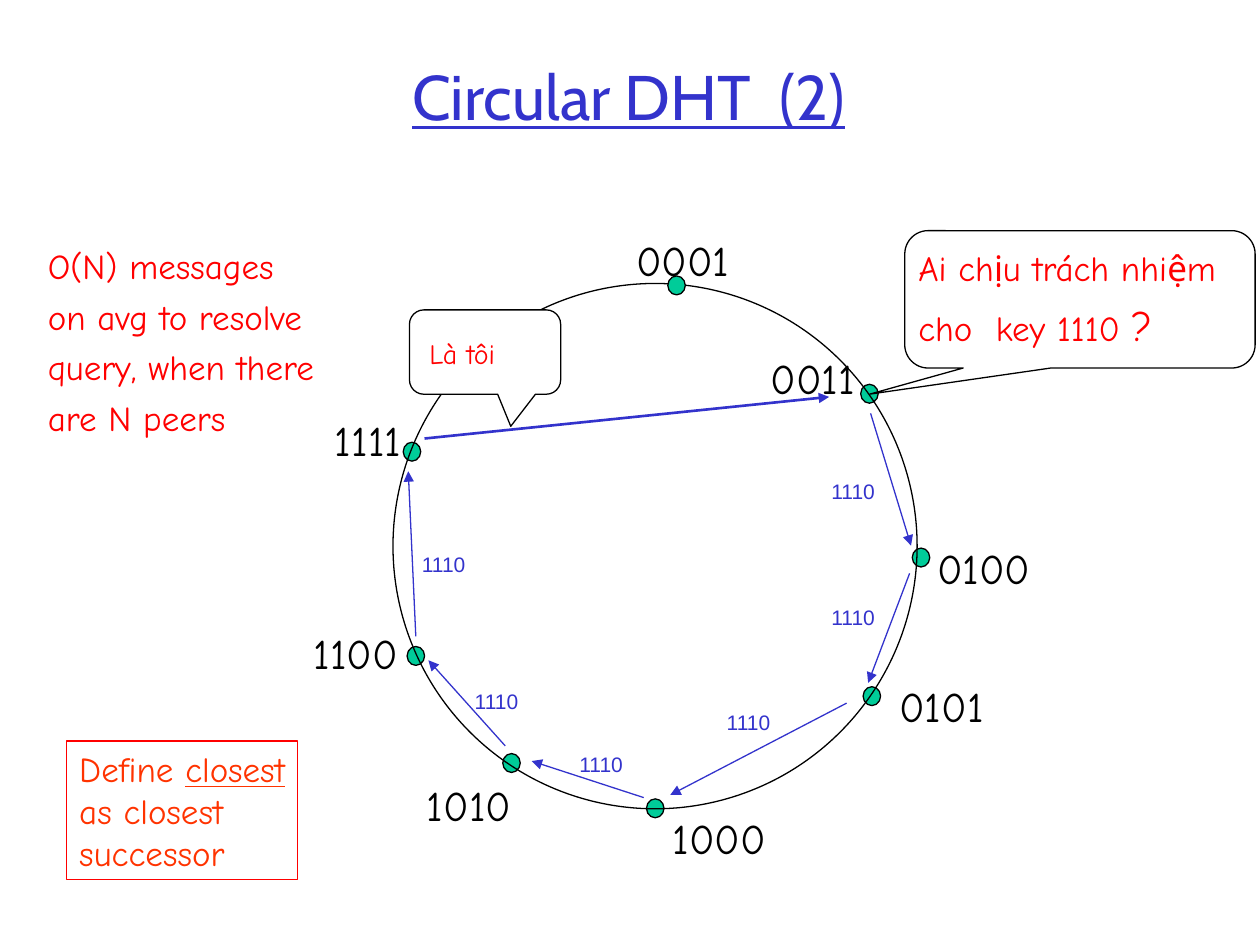
from dataclasses import dataclass
from typing import Optional

import lxml.etree
import pptx
import pptx.dml.color
import pptx.enum.shapes
import pptx.enum.text
import pptx.oxml.ns
import pptx.util

Pt = pptx.util.Pt
SHAPES = pptx.enum.shapes.MSO_SHAPE
ALIGN = pptx.enum.text.PP_ALIGN
AUTO_SIZE = pptx.enum.text.MSO_AUTO_SIZE

BLUE, RED, ORANGE = "3333CC", "FF0000", "FF3300"
BLACK, WHITE, GREEN = "000000", "FFFFFF", "00CC99"
HAND = "Comic Neue"
DOT_WIDTH, DOT_HEIGHT = 10, 10.8


@dataclass
class Box:
    left: float
    top: float
    width: float
    height: float

    def lengths(self) -> tuple:
        return Pt(self.left), Pt(self.top), Pt(self.width), Pt(self.height)


@dataclass
class Run:
    text: str
    size: Optional[float] = None
    underline: bool = False


@dataclass
class Peer:
    key: str
    dot: tuple[float, float]
    label: tuple[float, float]
    label_width: float


@dataclass
class Hop:
    start: tuple[float, float]
    end: tuple[float, float]
    label: tuple[float, float]


PEERS = [
    Peer("0001", (381.6, 157.7), (356.4, 130.3), 67.7),
    Peer("0011", (491.8, 219.6), (433.4, 198), 62.6),
    Peer("0100", (521.3, 313.2), (528.5, 306.7), 67.7),
    Peer("0101", (493.2, 392.4), (506.9, 385.2), 62.6),
    Peer("1000", (369.4, 456.5), (377.3, 460.8), 67.7),
    Peer("1010", (287.3, 430.6), (236.9, 442.1), 62.6),
    Peer("1100", (232.6, 369.4), (172.1, 355), 62.6),
    Peer("1111", (230.4, 252.7), (184.3, 233.3), 52.6),
]

HOPS = [
    Hop((497.5, 236.2), (520.6, 311.8), (468, 270)),
    Hop((519.8, 327.6), (496.1, 390.2), (468, 342)),
    Hop((483.8, 401.8), (383, 454.3), (408.2, 401.8)),
    Hop((367.9, 455.8), (303.8, 434.9), (324, 426.2)),
    Hop((288.7, 426.2), (244.8, 377.3), (264.2, 390.2)),
    Hop((237.6, 363.6), (233.3, 269.3), (234, 311.8)),
]


def color(value: str):
    return pptx.dml.color.RGBColor.from_string(value)


def write(frame, paragraphs: list[list[Run]], *, size: float, ink: str,
          font: str = HAND, align=ALIGN.LEFT, space: float = 0,
          wrap: bool = False, grow: bool = True) -> None:
    """Fill a text frame; a newline inside a run is a line break."""
    frame.word_wrap = wrap
    frame.auto_size = AUTO_SIZE.SHAPE_TO_FIT_TEXT if grow else AUTO_SIZE.NONE
    frame.vertical_anchor = pptx.enum.text.MSO_ANCHOR.TOP
    for index, runs in enumerate(paragraphs):
        paragraph = frame.add_paragraph() if index else frame.paragraphs[0]
        paragraph.alignment = align
        if index:
            paragraph.space_before = Pt(space)
        for part in runs:
            for number, line in enumerate(part.text.split("\n")):
                if number:
                    paragraph.add_line_break()
                if not line:
                    continue
                run = paragraph.add_run()
                run.text = line
                run.font.size = Pt(part.size or size)
                run.font.name = font
                run.font.color.rgb = color(ink)
                run.font.underline = part.underline


def add_text(slide, box: Box, paragraphs: list[list[Run]], **style) -> None:
    write(slide.shapes.add_textbox(*box.lengths()).text_frame, paragraphs, **style)


def add_figure(slide, kind, box: Box, *, fill: Optional[str] = None,
               line: str = BLACK, adjustments: tuple = ()):
    figure = slide.shapes.add_shape(kind, *box.lengths())
    figure.shadow.inherit = False
    if fill:
        figure.fill.solid()
        figure.fill.fore_color.rgb = color(fill)
    else:
        figure.fill.background()
    figure.line.color.rgb = color(line)
    figure.line.width = Pt(0.75)
    for index, value in enumerate(adjustments):
        figure.adjustments[index] = value
    return figure


def add_dot(slide, peer: Peer) -> None:
    add_figure(slide, SHAPES.OVAL, Box(*peer.dot, DOT_WIDTH, DOT_HEIGHT), fill=GREEN)


def add_arrow(slide, start: tuple, end: tuple, width: float = 0.75) -> None:
    arrow = slide.shapes.add_connector(
        pptx.enum.shapes.MSO_CONNECTOR.STRAIGHT, *map(Pt, start + end))
    arrow.line.color.rgb = color(BLUE)
    arrow.line.width = Pt(width)
    qn = pptx.oxml.ns.qn
    properties = arrow.element.spPr
    lxml.etree.SubElement(properties.find(qn("a:ln")), qn("a:tailEnd"), type="triangle")
    lxml.etree.SubElement(properties, qn("a:effectLst"))


def main() -> None:
    deck = pptx.Presentation()
    deck.slide_width, deck.slide_height = Pt(720), Pt(540)
    slide = deck.slides.add_slide(deck.slide_layouts[6])

    # Title
    add_text(slide, Box(53.3, 29.5, 612, 90), [[Run("Circular DHT  (2)", underline=True)]],
             size=36, ink=BLUE, font="Cabin", align=ALIGN.CENTER, wrap=True, grow=False)

    # Ring of peers; the first dot lies over the ring, the others under it
    first, *others = PEERS
    for peer in others:
        add_dot(slide, peer)
    add_figure(slide, SHAPES.OVAL, Box(224.6, 162, 299.5, 300.2))
    add_dot(slide, first)
    for peer in PEERS:
        add_text(slide, Box(*peer.label, peer.label_width, 36), [[Run(peer.key)]],
                 size=24, ink=BLACK)

    # Question
    add_figure(slide, SHAPES.ROUNDED_RECTANGULAR_CALLOUT, Box(517, 131.8, 200.2, 78.5),
               adjustments=(-0.6, 0.69, 0.17))
    add_text(slide, Box(517.7, 137.5, 185, 66.2),
             [[Run("Ai chịu trách nhiệm")], [Run("cho  key 1110 "), Run("?", size=24)]],
             size=20, ink=RED, space=6)

    # Query passed from peer to peer
    for hop in HOPS:
        add_arrow(slide, hop.start, hop.end)
        add_text(slide, Box(*hop.label, 41, 21.6), [[Run("1110")]],
                 size=12, ink=BLUE, font="Arial")

    # Answer
    add_arrow(slide, (242.6, 250.6), (473.8, 226.8), width=1.5)
    add_figure(slide, SHAPES.ROUNDED_RECTANGULAR_CALLOUT, Box(234, 177.1, 86.4, 48.2),
               fill=WHITE, adjustments=(0.17, 0.88, 0.17))
    add_text(slide, Box(238.3, 188.6, 102.2, 26.6), [[Run("Là tôi")]],
             size=16, ink=RED, wrap=True)

    # Remarks on cost and on the meaning of closest
    cost = ["O(N) messages", "on avg to resolve", "query, when there", "are N peers"]
    add_text(slide, Box(20.2, 136.1, 167, 118.1), [[Run(line)] for line in cost],
             size=20, ink=RED, space=5)
    definition = add_figure(slide, SHAPES.RECTANGLE, Box(38.2, 423.4, 131.8, 79.2), line=RED)
    write(definition.text_frame,
          [[Run("Define "), Run("closest", underline=True), Run("\nas closest\nsuccessor")]],
          size=20, ink=ORANGE)

    deck.save("out.pptx")


if __name__ == "__main__":
    main()
